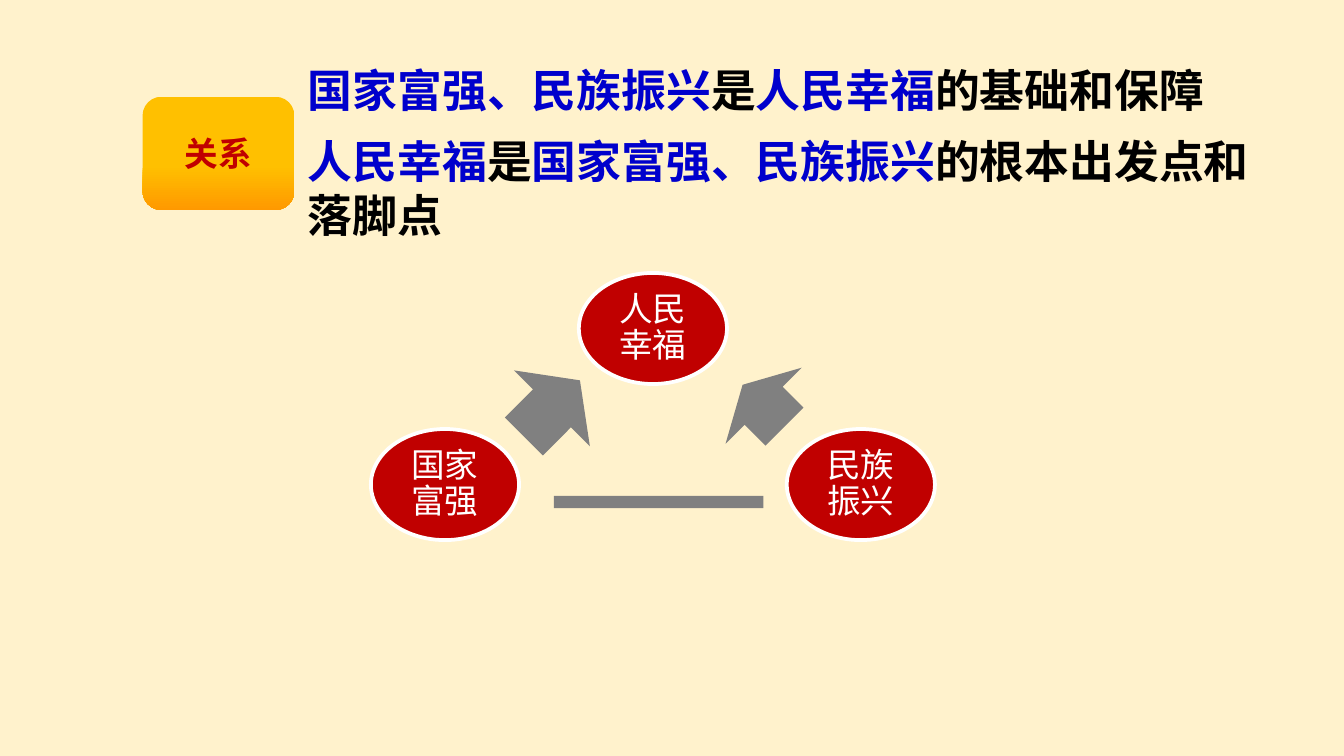
from pptx import Presentation
from pptx.dml.color import RGBColor
from pptx.enum.shapes import MSO_SHAPE
from pptx.enum.text import MSO_ANCHOR, PP_ALIGN
from pptx.util import Cm, Pt

OVAL, ARROW = MSO_SHAPE.OVAL, MSO_SHAPE.LEFT_ARROW
BAR, BADGE = MSO_SHAPE.RECTANGLE, MSO_SHAPE.ROUNDED_RECTANGLE
MIDDLE, CENTER = MSO_ANCHOR.MIDDLE, PP_ALIGN.CENTER

COLORS = {
    "cream": "FFF2CC", "blue": "0000CC", "black": "000000", "red": "C00000",
    "white": "FFFFFF", "gray": "808080", "gold": "FFC000", "orange": "FF9900",
}
HEADING_FONT, BODY_FONT = "Noto Sans CJK SC", "Calibri"

STATEMENTS = [
    [("国家富强、民族振兴", "blue"), ("是", "black"),
     ("人民幸福", "blue"), ("的基础和保障", "black")],
    [("人民幸福", "blue"), ("是", "black"),
     ("国家富强、民族振兴", "blue"), ("的根本出发点和落脚点", "black")],
]
BADGE_LABEL = "关系"
GOALS = [("人民幸福", 0, 0), ("民族振兴", 1, 1), ("国家富强", -1, 1)]
APEX_X, APEX_Y = 12.34, 6.21
STEP_X, STEP_Y = 3.93, 2.95
LINKS = [
    (ARROW, 14.43, 7.67, 1.12, 2.03, 45),
    (ARROW, 10.43, 7.72, 1.5, 2.03, 135),
    (BAR, 12.45, 9.49, 3.96, 0.23, 0),
]


def rgb(name):
    return RGBColor.from_string(COLORS[name])


def style(font, name, size, color, bold=False):
    font.name, font.size, font.bold = name, Pt(size), bold
    font.color.rgb = rgb(color)


def set_insets(frame, across, down):
    frame.margin_left = frame.margin_right = Cm(across)
    frame.margin_top = frame.margin_bottom = Cm(down)
    frame.word_wrap = True


def add_centered(slide, kind, x, y, width, height, fill):
    shape = slide.shapes.add_shape(
        kind, Cm(x - width / 2), Cm(y - height / 2), Cm(width), Cm(height))
    shape.shadow.inherit = False
    shape.fill.solid()
    shape.fill.fore_color.rgb = rgb(fill)
    shape.line.fill.background()
    return shape


def add_label(shape, text, font, color, bold=False):
    frame = shape.text_frame
    frame.text = text
    frame.vertical_anchor = MIDDLE
    label = frame.paragraphs[0]
    label.alignment = CENTER
    style(label.runs[0].font, font, 18, color, bold)
    return label


def add_statements(slide):
    box = slide.shapes.add_textbox(Cm(5.64), Cm(1.09), Cm(18.36), Cm(3.58))
    frame = box.text_frame
    set_insets(frame, 0.18, 0.1)
    for index, parts in enumerate(STATEMENTS):
        statement = frame.add_paragraph() if index else frame.paragraphs[0]
        if index:
            statement.space_before = Pt(9)
        for text, color in parts:
            run = statement.add_run()
            run.text = text
            style(run.font, HEADING_FONT, 24, color, True)


def add_goals(slide):
    for text, column, row in GOALS:
        goal = add_centered(slide, OVAL, APEX_X + column * STEP_X,
                            APEX_Y + row * STEP_Y, 2.8, 2.1, "red")
        goal.line.color.rgb = rgb("white")
        goal.line.width = Pt(2)
        set_insets(goal.text_frame, 0.1, 0)
        add_label(goal, text, BODY_FONT, "white").line_spacing = 0.9


def add_links(slide):
    for kind, x, y, width, height, turn in LINKS:
        link = add_centered(slide, kind, x, y, width, height, "gray")
        link.rotation = turn


def add_badge(slide):
    badge = add_centered(slide, BADGE, 4.13, 2.9, 2.87, 2.14, "gold")
    badge.fill.gradient()
    badge.fill.gradient_angle = 270
    stops = [(0.61, "gold"), (1, "orange")]
    for stop, (position, color) in zip(badge.fill.gradient_stops, stops):
        stop.position = position
        stop.color.rgb = rgb(color)
    set_insets(badge.text_frame, 0.18, 0.1)
    add_label(badge, BADGE_LABEL, HEADING_FONT, "red", True)


def main():
    deck = Presentation()
    deck.slide_width, deck.slide_height = Cm(25.4), Cm(14.29)
    slide = deck.slides.add_slide(deck.slide_layouts[6])
    slide.background.fill.solid()
    slide.background.fill.fore_color.rgb = rgb("cream")
    add_statements(slide)
    add_goals(slide)
    add_links(slide)
    add_badge(slide)
    deck.save("out.pptx")


if __name__ == "__main__":
    main()
